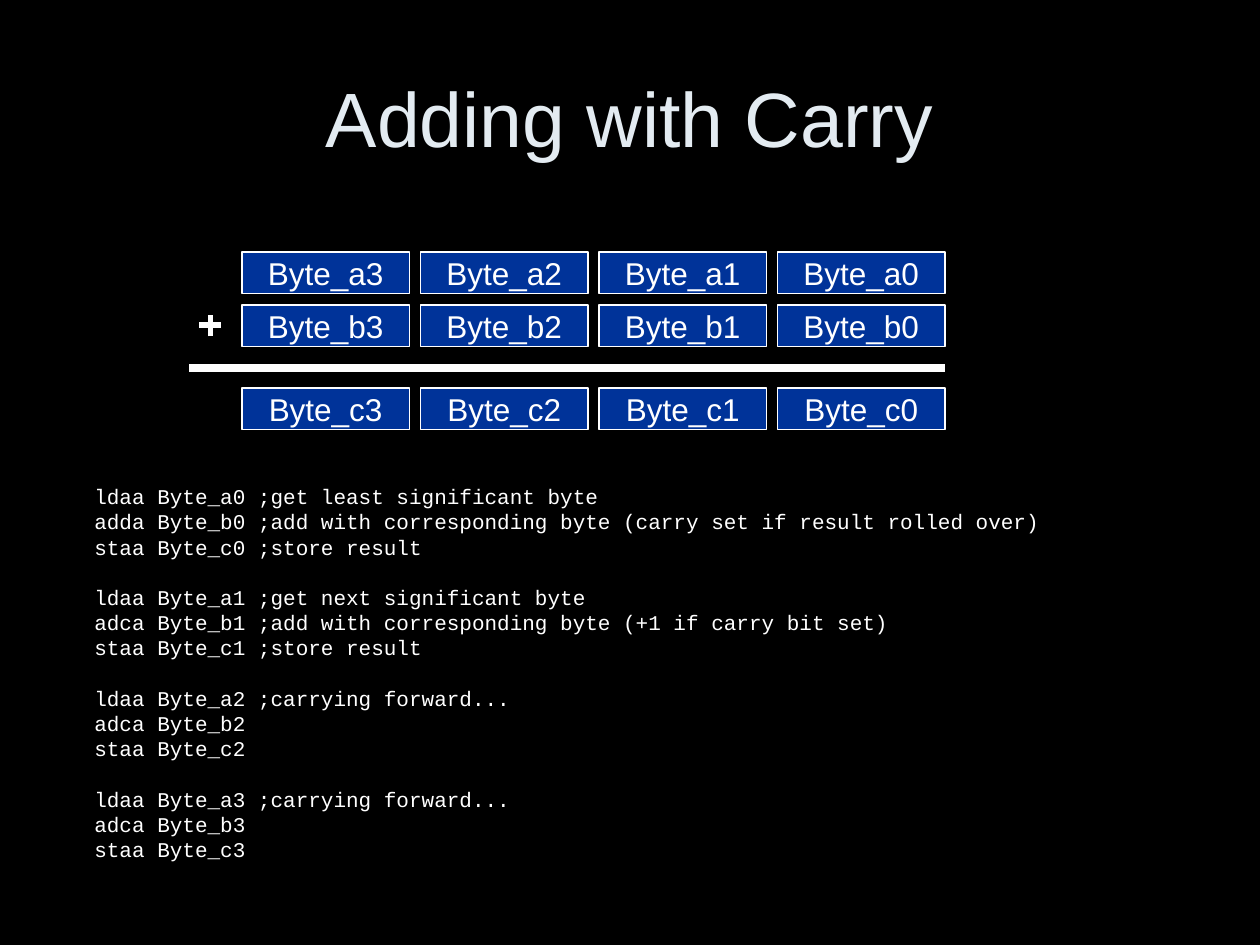
from pptx import Presentation
from pptx.dml.color import RGBColor
from pptx.enum.shapes import MSO_CONNECTOR as Line, MSO_SHAPE as Shape
from pptx.enum.text import MSO_ANCHOR as Anchor, MSO_AUTO_SIZE as Fit, PP_ALIGN as Align
from pptx.oxml.ns import qn
from pptx.util import Inches, Pt

# Content
TITLE = "Adding with Carry"
ROWS = [("a", 2), ("b", 2.42), ("c", 3.08)]  # letter, top
BYTES = [3, 2, 1, 0]  # most significant first
RULES = [  # x1, y1, x2, y2, width
    (1.5, 2.92, 7.5, 2.92, 4.5),  # sum line
    (1.58, 2.58, 1.75, 2.58, 3),  # plus sign
    (1.67, 2.67, 1.67, 2.5, 3),
]
CODE = [
    ["ldaa Byte_a0 ;get least significant byte",
     "adda Byte_b0 ;add with corresponding byte (carry set if result rolled over)",
     "staa Byte_c0 ;store result"],
    ["ldaa Byte_a1 ;get next significant byte",
     "adca Byte_b1 ;add with corresponding byte (+1 if carry bit set)",
     "staa Byte_c1 ;store result"],
    ["ldaa Byte_a2 ;carrying forward...", "adca Byte_b2", "staa Byte_c2"],
    ["ldaa Byte_a3 ;carrying forward...", "adca Byte_b3", "staa Byte_c3"],
]
BLACK, WHITE, BLUE, PALE = "000000", "FFFFFF", "003399", "E3EBF1"
LEFT, STEP, WIDE, HIGH = 1.92, 1.417, 1.33, 0.33
PITCH = 14.4  # code line height in points


def paint(fill, color):
    fill.solid()
    fill.fore_color.rgb = RGBColor.from_string(color)


def write(par, text, size=18, font="Arial", color=WHITE, align=Align.LEFT,
          pitch=None, before=0):
    par.alignment = align
    par.space_before = Pt(before)
    if pitch:
        par.line_spacing = Pt(pitch)
    run = par.add_run()
    run.text = text
    run.font.size = Pt(size)
    run.font.name = font
    run.font.color.rgb = RGBColor.from_string(color)


def add_byte(shapes, name, x, y):
    box = shapes.add_shape(Shape.RECTANGLE, Inches(x), Inches(y), Inches(WIDE), Inches(HIGH))
    box.shadow.inherit = False
    paint(box.fill, BLUE)
    paint(box.line.fill, WHITE)
    box.line.width = Pt(0.75)
    frame = box.text_frame
    frame.word_wrap = False
    frame.vertical_anchor = Anchor.MIDDLE
    write(frame.paragraphs[0], name, align=Align.CENTER)


def add_rule(shapes, x1, y1, x2, y2, width):
    rule = shapes.add_connector(Line.STRAIGHT, *map(Inches, (x1, y1, x2, y2)))
    paint(rule.line.fill, WHITE)
    rule.line.width = Pt(width)
    props = rule._element.spPr
    props.append(props.makeelement(qn("a:effectLst"), {}))


def main():
    deck = Presentation()
    deck.slide_width, deck.slide_height = Inches(10), Inches(7.5)
    slide = deck.slides.add_slide(deck.slide_layouts[5])
    paint(slide.background.fill, BLACK)
    shapes = slide.shapes

    # Title
    title = shapes.title
    title.left, title.top, title.width, title.height = map(Inches, (0.5, 0.3, 9, 1.25))
    title.text_frame.vertical_anchor = Anchor.MIDDLE
    write(title.text_frame.paragraphs[0], TITLE, size=44, color=PALE, align=Align.CENTER)

    # Byte grid with its sum line and plus sign
    for row, top in ROWS:
        for col, num in enumerate(BYTES):
            add_byte(shapes, f"Byte_{row}{num}", LEFT + col * STEP, top)
    for rule in RULES:
        add_rule(shapes, *rule)

    # Code, one blank line's space between blocks
    frame = shapes.add_textbox(*map(Inches, (0.65, 3.79, 8.18, 3.3))).text_frame
    frame.word_wrap = True
    frame.auto_size = Fit.SHAPE_TO_FIT_TEXT
    for b, block in enumerate(CODE):
        for n, text in enumerate(block):
            par = frame.add_paragraph() if b or n else frame.paragraphs[0]
            write(par, text, size=12, font="Courier New", pitch=PITCH,
                  before=PITCH if b and not n else 0)

    deck.save("out.pptx")


if __name__ == "__main__":
    main()
